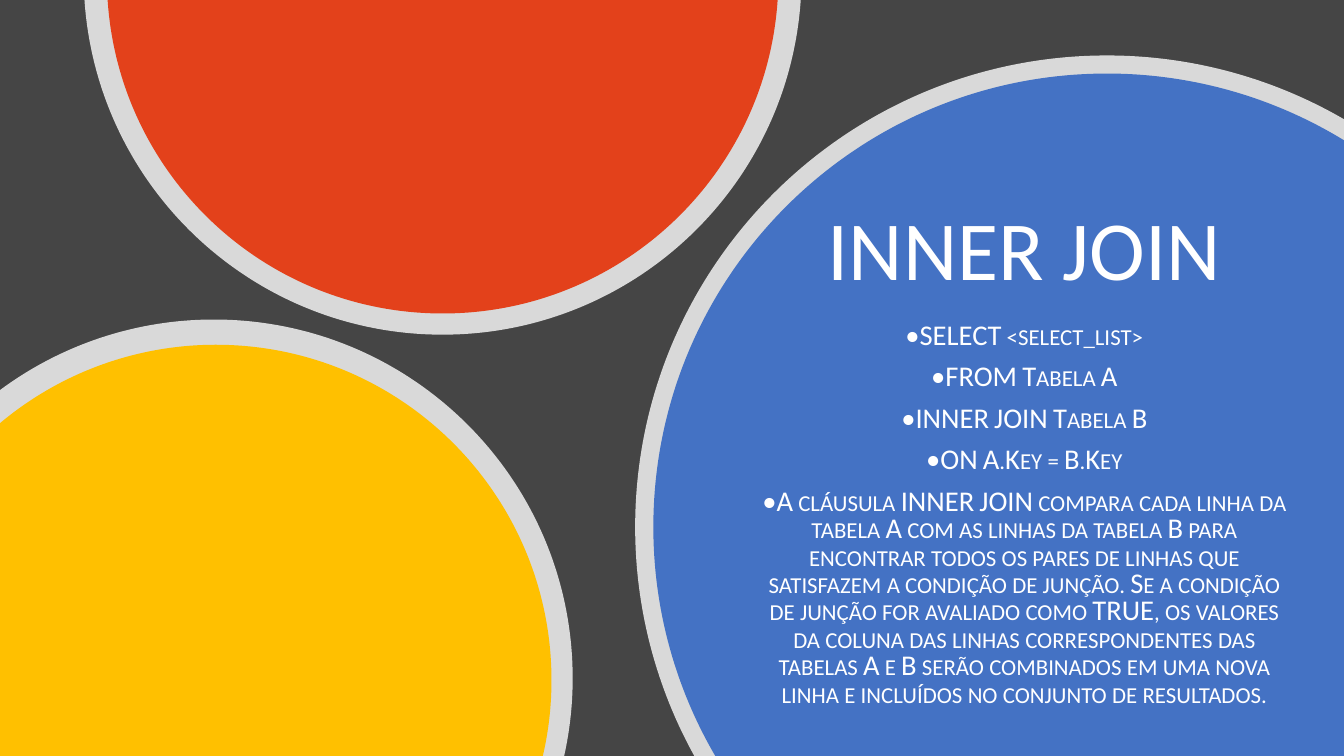
import math

from lxml import etree
from pptx import Presentation
from pptx.dml.color import RGBColor
from pptx.enum import text
from pptx.oxml import ns
from pptx.util import Inches, Pt

WIDTH, HEIGHT = 13.33, 7.5
FONT = "Calibri"
TURN, QUARTER = 2 * math.pi, math.pi / 2
CLAUSES = [
    "SELECT <select_list>",
    "FROM Tabela A",
    "INNER JOIN Tabela B",
    "ON A.Key = B.Key",
    "A cláusula INNER JOIN compara cada linha da tabela A com as linhas da "
    "tabela B para encontrar todos os pares de linhas que satisfazem a condição "
    "de junção. Se a condição de junção for avaliado como TRUE, os valores da "
    "coluna das linhas correspondentes das tabelas A e B serão combinados em "
    "uma nova linha e incluídos no conjunto de resultados.",
]


def paint(fill, color, alpha=None):
    fill.solid()
    fill.fore_color.rgb = RGBColor.from_string(color)
    if alpha is not None:
        tone = fill._xPr.find(".//" + ns.qn("a:srgbClr"))
        etree.SubElement(tone, ns.qn("a:alpha")).set("val", str(alpha * 1000))


def on_circle(center, radius, angle):
    return (center[0] + radius * math.cos(angle),
            center[1] + radius * math.sin(angle))


def on_slide(point):
    return (-0.001 <= point[0] <= WIDTH + 0.001
            and -0.001 <= point[1] <= HEIGHT + 0.001)


def visible_angles(center, radius):
    """Ends of the arc on the slide, with the quarter turns between them."""
    crossings = []
    for edge in (0, WIDTH):
        ratio = (edge - center[0]) / radius
        if abs(ratio) < 1:
            crossings += [math.acos(ratio), -math.acos(ratio)]
    for edge in (0, HEIGHT):
        ratio = (edge - center[1]) / radius
        if abs(ratio) < 1:
            crossings += [math.asin(ratio), math.pi - math.asin(ratio)]
    start, end = sorted(angle % TURN for angle in crossings
                        if on_slide(on_circle(center, radius, angle)))
    if not on_slide(on_circle(center, radius, (start + end) / 2)):
        start, end = end, start + TURN
    first, last = math.floor(start / QUARTER) + 1, math.ceil(end / QUARTER)
    return [start] + [QUARTER * n for n in range(first, last)] + [end]


def add_disc(page, center, radius, color, alpha=None):
    """Circle cut off at the slide edges."""
    angles = visible_angles(center, radius)
    corners = [(x, y) for x in (0, WIDTH) for y in (0, HEIGHT)
               if math.dist((x, y), center) < radius]
    points = [on_circle(center, radius, angle) for angle in angles] + corners
    points = [(Inches(x), Inches(y)) for x, y in points]
    builder = page.shapes.build_freeform(*points[0])
    builder.add_line_segments(points[1:], close=True)
    disc = builder.convert_to_shape()

    # Bend the straight segments between arc points into curves
    segments = list(disc.element.iter(ns.qn("a:lnTo")))
    for segment, start, end in zip(segments, angles, angles[1:]):
        reach = radius / math.cos(math.atan(4 / 3 * math.tan((end - start) / 4)))
        swing = math.atan(4 / 3 * math.tan((end - start) / 4))
        segment_end = segment[0]
        curve = etree.Element(ns.qn("a:cubicBezTo"))
        for angle in (start + swing, end - swing):
            x, y = on_circle(center, reach, angle)
            point = etree.SubElement(curve, ns.qn("a:pt"))
            point.set("x", str(Inches(x) - disc.left))
            point.set("y", str(Inches(y) - disc.top))
        curve.append(segment_end)
        segment.getparent().replace(segment, curve)

    disc.shadow.inherit = False
    disc.line.fill.background()
    paint(disc.fill, color, alpha)


def add_rimmed_disc(page, rim_center, rim_radius, center, radius, color):
    add_disc(page, rim_center, rim_radius, "FFFFFF", 80)
    add_disc(page, center, radius, color)


def add_span(para, words, size, small_caps=False):
    span = para.add_run()
    span.text = words
    span.font.name = FONT
    span.font.size = Pt(size)
    paint(span.font.fill, "FFFFFF")
    if small_caps:
        span.font._element.set("cap", "small")


def place_holder(holder, box, anchor):
    """Moves a placeholder into its box, in front of the discs."""
    holder.left, holder.top, holder.width, holder.height = map(Inches, box)
    holder.element.getparent().append(holder.element)
    frame = holder.text_frame
    frame.word_wrap = True
    frame.auto_size = text.MSO_AUTO_SIZE.NONE
    frame.vertical_anchor = anchor
    return frame


def format_para(para, line_spacing, before):
    para.alignment = text.PP_ALIGN.CENTER
    para.line_spacing = line_spacing
    para.space_before = Pt(before)


def fill_text(page, box):
    left, top, width, height = box
    title_height, gap = 1.03, 0.15
    body_top = top + title_height + gap

    # Title
    frame = place_holder(page.shapes.title, (left, top, width, title_height),
                         text.MSO_ANCHOR.BOTTOM)
    para = frame.paragraphs[0]
    format_para(para, 0.9, 0)
    add_span(para, "INNER JOIN", 60)

    # Clauses and explanation
    frame = place_holder(page.placeholders[1],
                         (left, body_top, width, top + height - body_top),
                         text.MSO_ANCHOR.TOP)
    for index, clause in enumerate(CLAUSES):
        para = frame.add_paragraph() if index else frame.paragraphs[0]
        format_para(para, 0.8, 10)
        add_span(para, "•", 20.4)
        add_span(para, clause, 20.4, small_caps=True)


deck = Presentation()
deck.slide_width, deck.slide_height = Inches(WIDTH), Inches(HEIGHT)
page = deck.slides.add_slide(deck.slide_layouts[0])
paint(page.background.fill, "454545")

# Red, yellow and blue discs
add_rimmed_disc(page, (4.39, -0.24), 3.56, (4.39, -0.22), 3.33, "E3411B")
add_rimmed_disc(page, (2.12, 6.73), 3.56, (2.14, 6.75), 3.33, "FFC000")
add_rimmed_disc(page, (10.98, 5.23), 4.68, (10.98, 5.23), 4.5, "4472C4")

fill_text(page, (7.43, 1.98, 5.46, 5.04))
deck.save("out.pptx")
